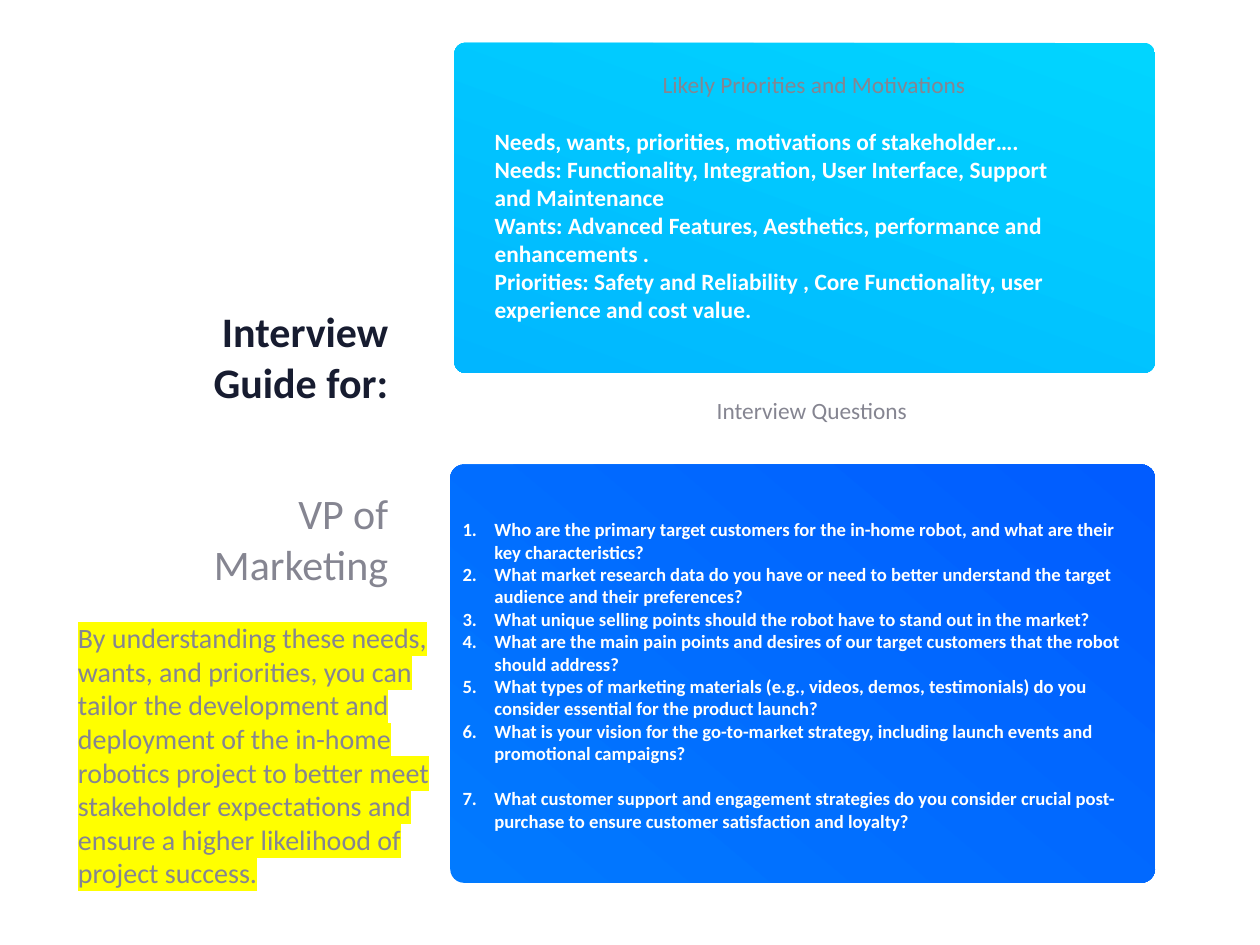
from lxml import etree
from pptx import Presentation
from pptx.dml.color import RGBColor
from pptx.enum import shapes, text
from pptx.oxml import ns
from pptx.util import Inches, Pt

NAVY = RGBColor(0x17, 0x1C, 0x30)
GRAY = RGBColor(0x85, 0x85, 0x91)
WHITE = RGBColor(0xFF, 0xFF, 0xFF)
BLUE = RGBColor(0x01, 0x7A, 0xFF)
DEEP_BLUE = RGBColor(0x01, 0x5C, 0xFF)
CYAN = RGBColor(0x01, 0xD5, 0xFF)
SKY = RGBColor(0x01, 0xB6, 0xFF)
YELLOW = RGBColor(0xFF, 0xFF, 0x00)

LEFT, CENTER, RIGHT = text.PP_ALIGN.LEFT, text.PP_ALIGN.CENTER, text.PP_ALIGN.RIGHT


def write_paragraphs(frame, lines, size, color, bold=False, align=LEFT):
    frame.word_wrap = True
    frame.vertical_anchor = text.MSO_ANCHOR.TOP
    font_format = {"name": "Calibri", "size": Pt(size), "bold": bold}
    for index, line in enumerate(lines):
        paragraph = frame.add_paragraph() if index else frame.paragraphs[0]
        paragraph.alignment = align
        run = paragraph.add_run()
        run.text = line
        for name, value in font_format.items():
            setattr(run.font, name, value)
        run.font.color.rgb = color


def add_card(box, colors, angle):
    """Add a rounded card with a two-colour gradient; the angle runs counter-clockwise."""
    card = slide.shapes.add_shape(shapes.MSO_SHAPE.ROUNDED_RECTANGLE, *map(Inches, box))
    card.adjustments[0] = 0.033
    card.shadow.inherit = False
    card.line.fill.background()
    card.fill.gradient()
    card.fill.gradient_angle = angle
    for stop, color in zip(card.fill.gradient_stops, colors):
        stop.color.rgb = color
    return card


presentation = Presentation()
presentation.slide_width = Inches(15)
presentation.slide_height = Inches(11.25)
slide = presentation.slides.add_slide(presentation.slide_layouts[6])

# Cards
questions_card = add_card((5.36, 5.53, 8.39, 4.98), (BLUE, DEEP_BLUE), 50)
add_card((5.41, 0.51, 8.34, 3.93), (CYAN, SKY), 250)

# Numbered interview questions
questions = [
    "Who are the primary target customers for the in-home robot, and what are their key characteristics?",
    "What market research data do you have or need to better understand the target audience and their preferences?",
    "What unique selling points should the robot have to stand out in the market?",
    "What are the main pain points and desires of our target customers that the robot should address?",
    "What types of marketing materials (e.g., videos, demos, testimonials) do you consider essential for the product launch?",
    "What is your vision for the go-to-market strategy, including launch events and promotional campaigns?",
    "What customer support and engagement strategies do you consider crucial post-purchase to ensure customer satisfaction and loyalty?",
]
questions_frame = questions_card.text_frame
questions_frame.margin_top = Inches(0.59)
write_paragraphs(questions_frame, questions, 16, WHITE, bold=True)
for paragraph in questions_frame.paragraphs:
    properties = paragraph._p.get_or_add_pPr()
    properties.set("marL", str(Inches(0.38)))
    properties.set("indent", str(Inches(-0.38)))
    etree.SubElement(properties, ns.qn("a:buFont"), typeface="+mj-lt")
    etree.SubElement(properties, ns.qn("a:buAutoNum"), type="arabicPeriod")
questions_frame.paragraphs[-1].space_before = Pt(19.5)

# Text boxes: box, lines, size, colour, bold, alignment
priorities = [
    "Needs, wants, priorities, motivations of stakeholder….",
    "Needs: Functionality, Integration, User Interface, Support and Maintenance",
    "Wants: Advanced Features, Aesthetics, performance and enhancements .",
    "Priorities: Safety and Reliability , Core Functionality, user experience and cost value.",
]
summary = (
    "By understanding these needs, wants, and priorities, you can tailor the development "
    "and deployment of the in-home robotics project to better meet stakeholder "
    "expectations and ensure a higher likelihood of project success."
)
text_boxes = [
    ((1.29, 3.59, 3.43, 1.31), ["Interview Guide for:"], 36, NAVY, True, RIGHT),
    ((1.5, 5.76, 3.22, 1.31), ["VP of Marketing"], 36, GRAY, False, RIGHT),
    ((5.79, 1.46, 7.0, 2.79), priorities, 20, WHITE, True, LEFT),
    ((5.75, 4.67, 7.83, 0.44), ["Interview Questions"], 20, GRAY, False, CENTER),
    ((5.79, 0.79, 7.8, 0.44), ["Likely Priorities and Motivations"], 20, GRAY, False, CENTER),
    ((0.83, 7.34, 4.52, 4.54), [summary], 24, GRAY, False, LEFT),
]
for box, *content in text_boxes:
    text_box = slide.shapes.add_textbox(*map(Inches, box))
    write_paragraphs(text_box.text_frame, *content)

# Highlight behind the summary, the last text box
summary_run = text_box.text_frame.paragraphs[0].runs[0]
highlight = etree.Element(ns.qn("a:highlight"))
etree.SubElement(highlight, ns.qn("a:srgbClr"), val=str(YELLOW))
summary_run._r.rPr.find(ns.qn("a:solidFill")).addnext(highlight)

presentation.save("out.pptx")
